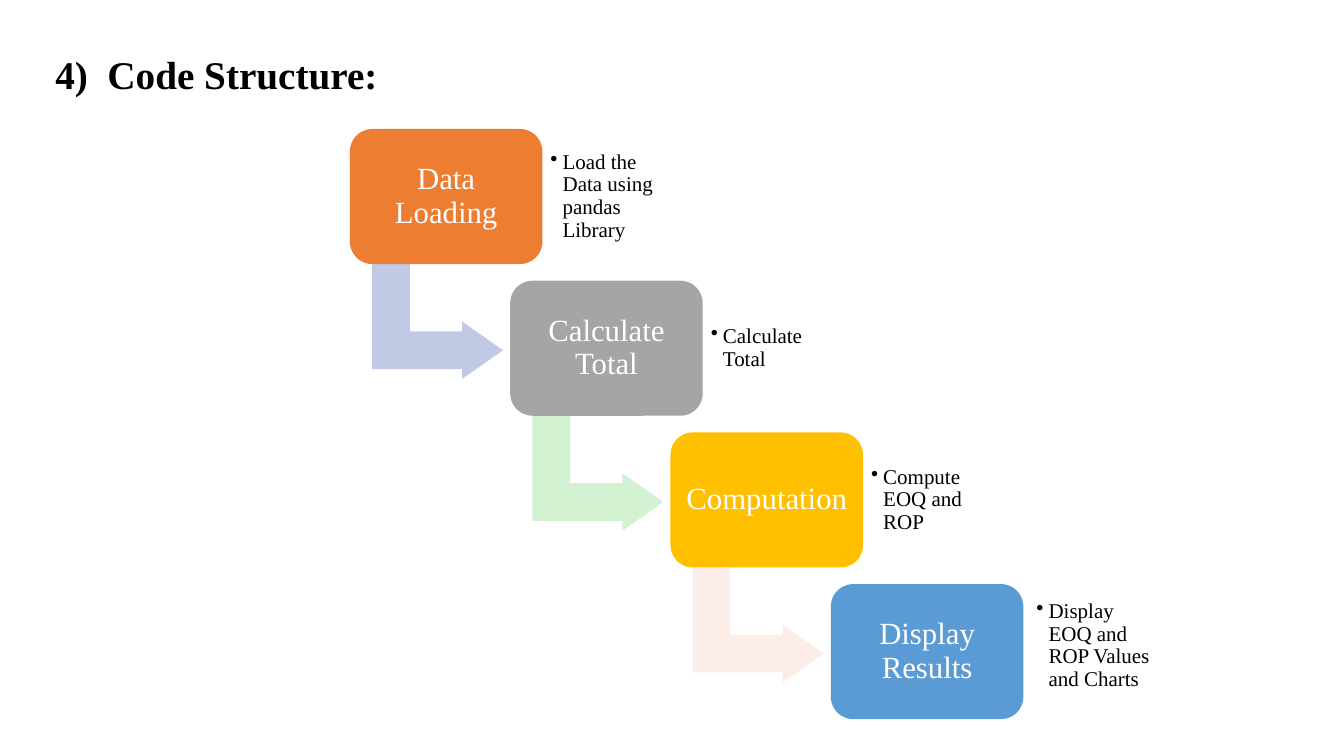
from pptx import Presentation
from pptx.dml.color import RGBColor
from pptx.enum.shapes import MSO_SHAPE
from pptx.enum.text import MSO_ANCHOR, PP_ALIGN
from pptx.oxml.ns import qn
from pptx.util import Inches, Pt
from lxml import etree

ROUNDED = MSO_SHAPE.ROUNDED_RECTANGLE
BENT_ARROW = MSO_SHAPE.BENT_UP_ARROW
MIDDLE = MSO_ANCHOR.MIDDLE
LEFT, CENTER, JUSTIFY = PP_ALIGN.LEFT, PP_ALIGN.CENTER, PP_ALIGN.JUSTIFY

# Content
FONT = "Times New Roman"
COLORS = {
    "black": "000000", "white": "FFFFFF",
    "orange": "ED7D31", "gray": "A5A5A5", "gold": "FFC000", "blue": "5B9BD5",
    "lavender": "C1C9E4", "mint": "D2F2D2", "blush": "FCEDE8",
}
TITLE = "4)  Code Structure:"
# step name, detail, box colour, colour of the arrow to the next step, detail shift
STEPS = [
    ("Data Loading", "Load the Data using pandas Library", "orange", "lavender", (0, 0)),
    ("Calculate Total", "Calculate Total", "gray", "mint", (0, 0)),
    ("Computation", "Compute EOQ and ROP", "gold", "blush", (0, 0)),
    ("Display Results", "Display EOQ and ROP Values and Charts", "blue", None, (0.05, -0.06)),
]

# Layout of the staircase, in inches
START_X, START_Y = 3.47, 1.28
STEP_X, STEP_Y = 1.59, 1.505
BOX_W, BOX_H = 1.91, 1.34
DETAIL_W, DETAIL_H = 1.39, 1.08
ARROW_W, ARROW_H = 1.14, 1.3
ARROW_DX, ARROW_DY = 0.3, 1.26
ARROW_ADJUST = (0.328, 0.25, 0.358)


def add_solid(preset, left, top, width, height, color):
    shape = slide.shapes.add_shape(
        preset, Inches(left), Inches(top), Inches(width), Inches(height))
    shape.shadow.inherit = False
    shape.fill.solid()
    shape.fill.fore_color.rgb = RGBColor.from_string(COLORS[color])
    shape.line.fill.background()
    return shape


def add_textbox(left, top, width, height):
    return slide.shapes.add_textbox(
        Inches(left), Inches(top), Inches(width), Inches(height))


def write(shape, text, size, color, align, spacing, inset=None, bold=False):
    frame = shape.text_frame
    frame.word_wrap = True
    if inset is not None:
        frame.vertical_anchor = MIDDLE
        frame.margin_left = frame.margin_right = Inches(inset)
        frame.margin_top = frame.margin_bottom = Inches(inset)
    paragraph = frame.paragraphs[0]
    paragraph.alignment = align
    paragraph.line_spacing = spacing
    run = paragraph.add_run()
    run.text = text
    run.font.name = FONT
    run.font.size = Pt(size)
    run.font.bold = bold
    run.font.color.rgb = RGBColor.from_string(COLORS[color])
    return paragraph


def add_bullet(paragraph):
    props = paragraph._p.get_or_add_pPr()
    props.set("marL", str(Inches(0.12)))
    props.set("indent", str(Inches(-0.12)))
    etree.SubElement(props, qn("a:buChar")).set("char", "•")


prs = Presentation()
prs.slide_width, prs.slide_height = Inches(13.33), Inches(7.5)
slide = prs.slides.add_slide(prs.slide_layouts[6])

# Title
write(add_textbox(0.45, 0.22, 11.5, 0.72), TITLE, 28, "black", JUSTIFY, 1.5, bold=True)

# Steps, each with its arrow, box and detail
for i, (name, detail, box_color, arrow_color, (shift_x, shift_y)) in enumerate(STEPS):
    x, y = START_X + i * STEP_X, START_Y + i * STEP_Y
    if arrow_color:
        arrow = add_solid(BENT_ARROW, x + ARROW_DX, y + ARROW_DY, ARROW_W, ARROW_H, arrow_color)
        arrow.rotation = 90
        for k, value in enumerate(ARROW_ADJUST):
            arrow.adjustments[k] = value

    box = add_solid(ROUNDED, x, y, BOX_W, BOX_H, box_color)
    write(box, name, 22, "white", CENTER, 0.9, inset=0.07)

    detail_box = add_textbox(x + BOX_W + shift_x, y + (BOX_H - DETAIL_H) / 2 + shift_y,
                             DETAIL_W, DETAIL_H)
    add_bullet(write(detail_box, detail, 15, "black", LEFT, 0.9, inset=0.08))

prs.save("out.pptx")
